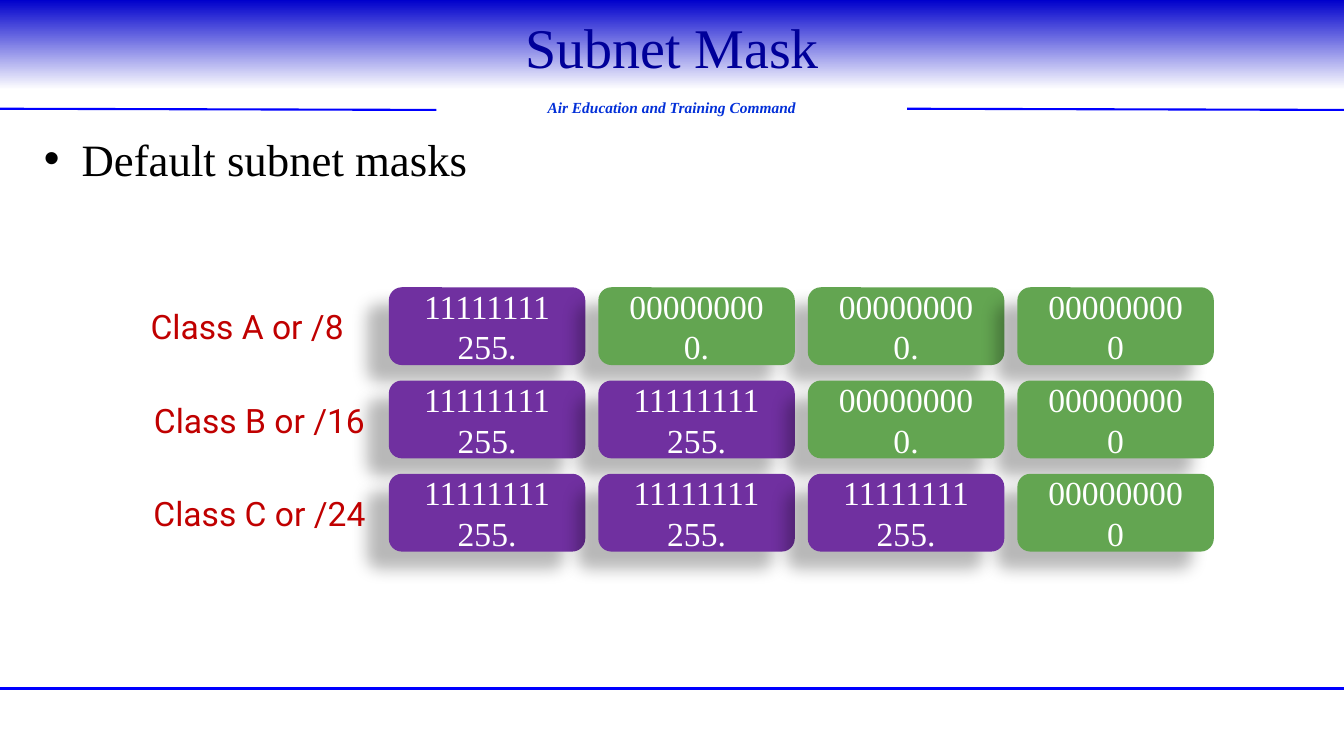
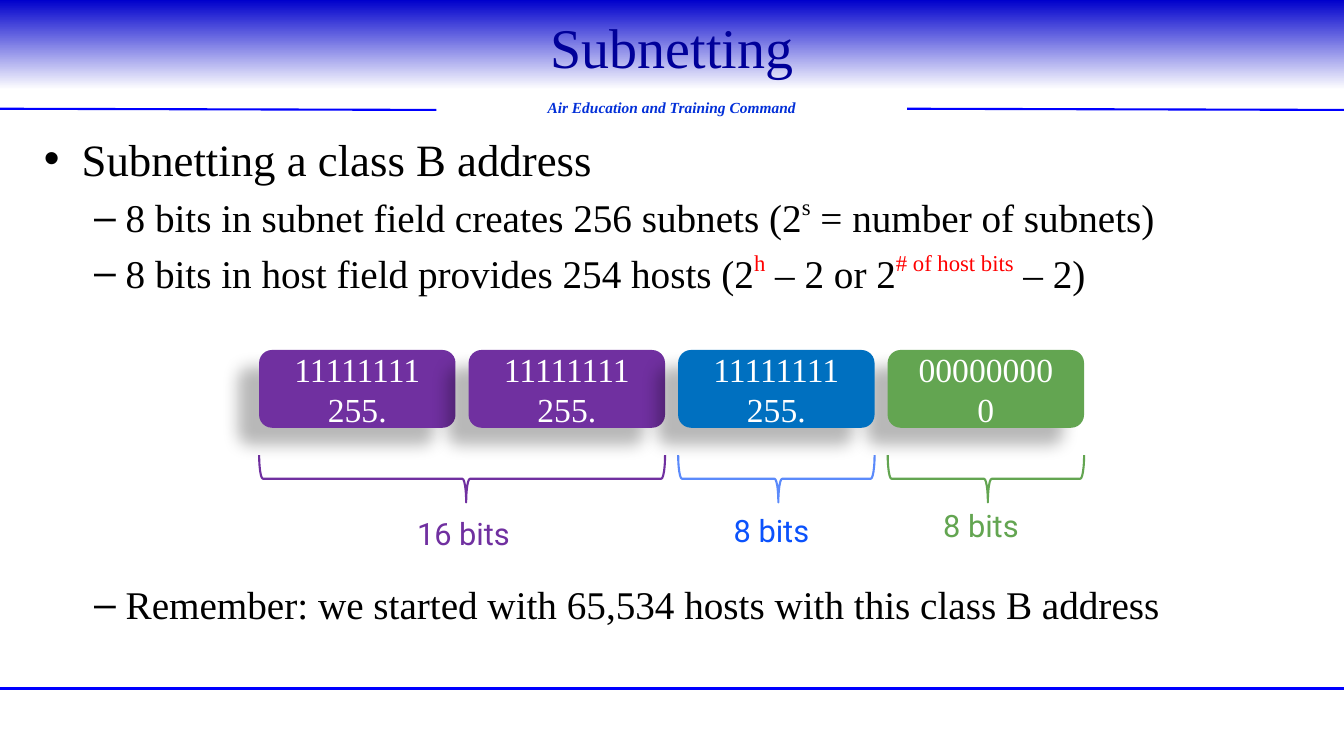
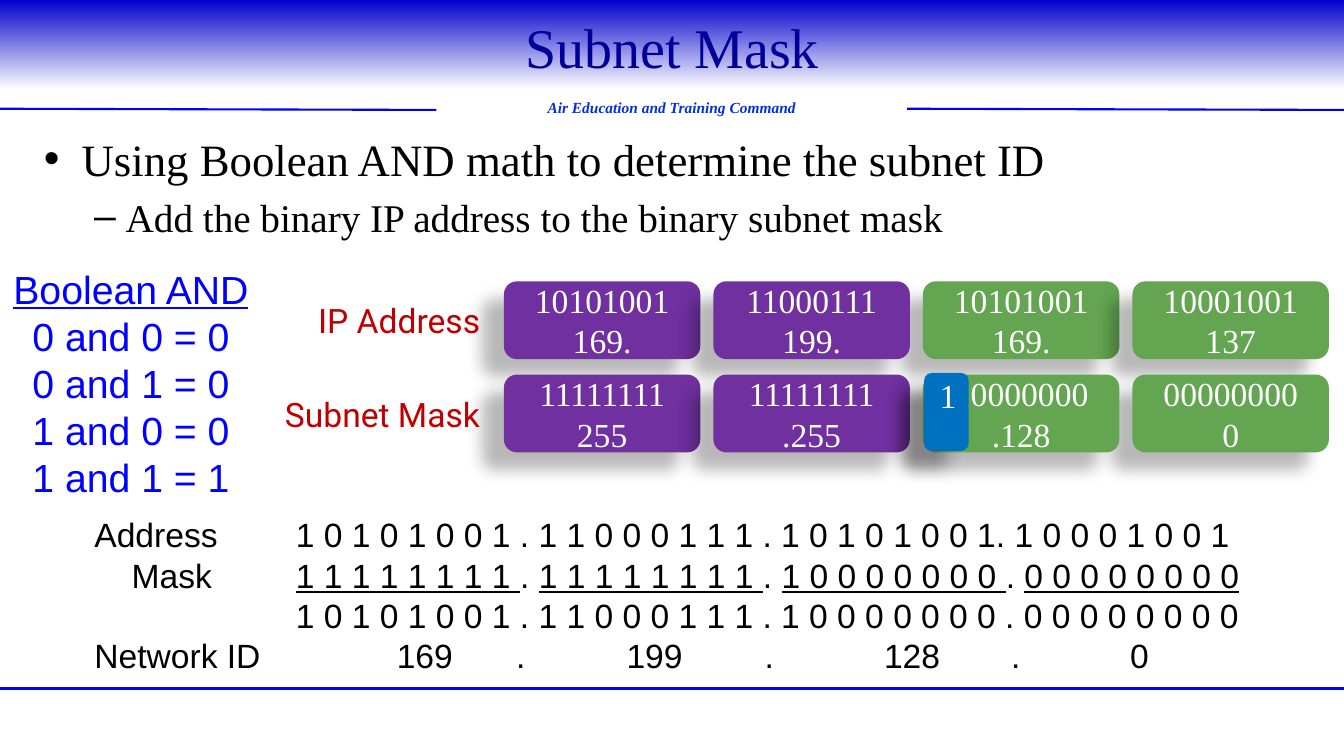
from dataclasses import dataclass
from typing import NamedTuple, Sequence

from lxml import etree
from pptx import Presentation
from pptx import util as u
from pptx.dml.color import RGBColor
from pptx.enum import shapes, text
from pptx.oxml.ns import qn

BLACK = RGBColor(0x00, 0x00, 0x00)
WHITE = RGBColor(0xFF, 0xFF, 0xFF)
NAVY = RGBColor(0x00, 0x00, 0x99)
BAND_BLUE = RGBColor(0x00, 0x00, 0xCC)
LINE_BLUE = RGBColor(0x00, 0x00, 0xFF)
MOTTO_BLUE = RGBColor(0x03, 0x30, 0xD8)
SUBNET_BLUE = RGBColor(0x00, 0x70, 0xC0)
BRACE_BLUE = RGBColor(0x5B, 0x8A, 0xFB)
BITS_BLUE = RGBColor(0x0B, 0x52, 0xFC)
PURPLE = RGBColor(0x70, 0x30, 0xA0)
GREEN = RGBColor(0x63, 0xA5, 0x51)
RED = RGBColor(0xFF, 0x00, 0x00)
LABEL_RED = RGBColor(0xC0, 0x00, 0x00)

SERIF, SANS, LABEL_FONT = "Times New Roman", "Arial", "Roboto"
CENTER, LEFT, RIGHT = text.PP_ALIGN.CENTER, text.PP_ALIGN.LEFT, text.PP_ALIGN.RIGHT

# Lengths in centimetres
PAGE_WIDTH, PAGE_HEIGHT = 33.87, 19.05
OCTET_WIDTH, OCTET_HEIGHT = 4.95, 1.96
OCTET_STEP, ROW_STEP = 5.28, 2.35
BRACE_HEIGHT = 1.19

# Back-to-front order of the four octets: a shadow falls on those behind it
TOP_ROW_ORDER = (0, 2, 3, 1)
ROW_ORDER = (0, 3, 1, 2)


class Piece(NamedTuple):
    words: str
    color: RGBColor = BLACK
    raised: bool = False
    underlined: bool = False


class Octet(NamedTuple):
    bits: str
    value: str
    color: RGBColor


class Rule(NamedTuple):
    start: tuple[float, float]
    end: tuple[float, float]
    weight: float


class Line(NamedTuple):
    pieces: Sequence[Piece]
    level: int = 0
    gap: float | None = None


class TabbedLine(NamedTuple):
    pieces: Sequence[Piece]
    tabs: Sequence[float]


@dataclass
class AddressRow:
    octets: Sequence[Octet]
    order: Sequence[int]
    label: str = ""
    label_center: float = 0


@dataclass
class Brace:
    first: int
    count: int
    color: RGBColor
    label: str
    label_color: RGBColor
    label_left: float
    label_top: float


RULES = (
    Rule((0, 17.35), (PAGE_WIDTH, 17.35), 2),
    Rule((0, 2.74), (11, 2.77), 1.5),
    Rule((22.86, 2.74), (PAGE_WIDTH, 2.77), 1.5),
)

ONES = Octet("11111111", "255.", PURPLE)
ZEROS = Octet("00000000", "0.", GREEN)
LAST_ZEROS = Octet("00000000", "0", GREEN)

CLASS_ROWS = (
    AddressRow((ONES, ZEROS, ZEROS, LAST_ZEROS), TOP_ROW_ORDER, "Class A or /8", 6.23),
    AddressRow((ONES, ONES, ZEROS, LAST_ZEROS), ROW_ORDER, "Class B or /16", 6.54),
    AddressRow((ONES, ONES, ONES, LAST_ZEROS), ROW_ORDER, "Class C or /24", 6.54),
)
SUBNETTED_ROWS = (
    AddressRow((ONES, ONES, ONES._replace(color=SUBNET_BLUE), LAST_ZEROS), ROW_ORDER),
)
BRACES = (
    Brace(0, 2, PURPLE, "16 bits", PURPLE, 10.26, 12.85),
    Brace(2, 1, BRACE_BLUE, "8 bits", BITS_BLUE, 18.24, 12.78),
    Brace(3, 1, GREEN, "8 bits", GREEN, 23.52, 12.65),
)
AND_ROWS = (
    AddressRow((Octet("10101001", "169.", PURPLE), Octet("11000111", "199.", PURPLE),
                Octet("10101001", "169.", GREEN), Octet("10001001", "137", GREEN)),
               TOP_ROW_ORDER, "IP Address", 10.06),
    AddressRow((Octet("11111111", "255", PURPLE), Octet("11111111", ".255", PURPLE),
                Octet("10000000", ".128", GREEN), LAST_ZEROS),
               ROW_ORDER, "Subnet Mask", 9.64),
)

BITS_TAB = 5.08
DOT = Piece(". ")
MASK_ONES = Piece("1 1 1 1 1 1 1 1 ", underlined=True)
AND_SUM = (
    TabbedLine([Piece("Address\t1 0 1 0 1 0 0 1 . 1 1 0 0 0 1 1 1 . "
                      "1 0 1 0 1 0 0 1. 1 0 0 0 1 0 0 1")], [BITS_TAB]),
    TabbedLine([Piece("\tMask\t"), MASK_ONES, DOT, MASK_ONES, DOT,
                Piece("1 0 0 0 0 0 0 0 ", underlined=True), DOT,
                Piece("0 0 0 0 0 0 0 0", underlined=True)], [0.94, BITS_TAB]),
    TabbedLine([Piece("\t1 0 1 0 1 0 0 1 . 1 1 0 0 0 1 1 1 . "
                      "1 0 0 0 0 0 0 0 . 0 0 0 0 0 0 0 0")], [BITS_TAB]),
    TabbedLine([Piece("Network ID\t169\t.\t199\t.\t128\t.\t0")],
               [7.62, 10.63, 13.41, 16.89, 19.9, 23.1, 26.1]),
)


def style(para, font: str, size: float, color: RGBColor, align=LEFT) -> None:
    para.alignment = align
    for span in para.runs:
        span.font.name = font
        span.font.size = u.Pt(size)
        span.font.color.rgb = color


def add_pieces(para, pieces: Sequence[Piece], font: str, size: float) -> None:
    for piece in pieces:
        span = para.add_run()
        span.text = piece.words
        span.font.name = font
        span.font.size = u.Pt(size)
        span.font.color.rgb = piece.color
        if piece.underlined:
            span.font.underline = True
        if piece.raised:
            span._r.get_or_add_rPr().set("baseline", "44000")


def add_text(page, place: Sequence[float], words: str, font: str, size: float,
             color: RGBColor, align=LEFT):
    box = page.shapes.add_textbox(*map(u.Cm, place))
    box.text_frame.word_wrap = True
    box.text_frame.text = words
    for para in box.text_frame.paragraphs:
        style(para, font, size, color, align)
    return box


def add_frame(page, layout) -> None:
    """Draw the band, rules and motto, then hand them to the layout."""
    band = page.shapes.add_shape(shapes.MSO_SHAPE.RECTANGLE, 0, 0,
                                 u.Cm(PAGE_WIDTH), u.Cm(2.26))
    band.shadow.inherit = False
    band.line.fill.background()
    band.fill.gradient()
    band.fill.gradient_angle = 270
    for stop, color in zip(band.fill.gradient_stops, (BAND_BLUE, WHITE)):
        stop.color.rgb = color
    parts = [band]

    for rule in RULES:
        line = page.shapes.add_connector(shapes.MSO_CONNECTOR.STRAIGHT,
                                         *map(u.Cm, rule.start + rule.end))
        line.line.color.rgb = LINE_BLUE
        line.line.width = u.Pt(rule.weight)
        etree.SubElement(line.element.spPr, qn("a:effectLst"))
        parts.append(line)

    motto = add_text(page, (11, 2.34, 11.86, 0.74), "Air Education and Training Command",
                     SERIF, 11, MOTTO_BLUE, CENTER)
    font = motto.text_frame.paragraphs[0].runs[0].font
    font.bold = font.italic = True
    parts.append(motto)

    for position, part in enumerate(parts, start=2):
        layout.element.cSld.spTree.insert(position, part.element)


def prepare_layout(layout) -> None:
    """Place the title and body, and drop the date, footer and number."""
    places = {0: (3.39, 0, 27.09, 2.34), 1: (0.85, 3.18, 32.17, 13.97)}
    for holder in list(layout.placeholders):
        place = places.get(holder.placeholder_format.idx)
        if place is None:
            holder.element.getparent().remove(holder.element)
        else:
            holder.left, holder.top, holder.width, holder.height = map(u.Cm, place)


def add_page(deck, layout, title: str, lines: Sequence[Line]):
    page = deck.slides.add_slide(layout)
    heading = page.shapes.title.text_frame
    heading.text = title
    heading.vertical_anchor = text.MSO_ANCHOR.MIDDLE
    style(heading.paragraphs[0], SERIF, 40, NAVY, CENTER)

    body = page.placeholders[1].text_frame
    body.auto_size = text.MSO_AUTO_SIZE.NONE
    for index, line in enumerate(lines):
        para = body.add_paragraph() if index else body.paragraphs[0]
        para.level = line.level
        if index == 0:
            para.space_before = u.Pt(0)
        elif line.gap is not None:
            para.space_before = u.Pt(line.gap)
        add_pieces(para, line.pieces, SERIF, 28 if line.level else 32)
    return page


def add_block(page, place: Sequence[float], words: str, color: RGBColor, align=CENTER):
    """Add a rounded block whose shadow falls to the lower left."""
    block = page.shapes.add_shape(shapes.MSO_SHAPE.ROUNDED_RECTANGLE, *map(u.Cm, place))
    block.fill.solid()
    block.fill.fore_color.rgb = color
    block.line.fill.background()
    block.shadow.inherit = False
    effects = block.element.spPr.find(qn("a:effectLst"))
    shadow = etree.SubElement(effects, qn("a:outerShdw"), blurRad="150000",
                              dist="250000", dir="8460000", rotWithShape="0")
    shade = etree.SubElement(shadow, qn("a:srgbClr"), val="000000")
    etree.SubElement(shade, qn("a:alpha"), val="28000")
    block.text_frame.text = words
    block.text_frame.vertical_anchor = text.MSO_ANCHOR.MIDDLE
    for para in block.text_frame.paragraphs:
        style(para, SERIF, 24, WHITE, align)
    return block


def add_rows(page, left: float, top: float, rows: Sequence[AddressRow]) -> None:
    for number, row in enumerate(rows):
        row_top = top + number * ROW_STEP
        for column in row.order:
            octet = row.octets[column]
            add_block(page, (left + column * OCTET_STEP, row_top, OCTET_WIDTH, OCTET_HEIGHT),
                      f"{octet.bits}\n{octet.value}", octet.color)
        if row.label:
            add_text(page, (row.label_center - 3.3, row_top + 0.35, 6.6, 1.27),
                     row.label, LABEL_FONT, 24, LABEL_RED, CENTER)


def add_brace(page, octets_left: float, top: float, brace: Brace) -> None:
    """Set a downward brace under its octets; it is a right brace turned by 90°."""
    span = (brace.count - 1) * OCTET_STEP + OCTET_WIDTH
    center = octets_left + brace.first * OCTET_STEP + span / 2
    shape = page.shapes.add_shape(
        shapes.MSO_SHAPE.RIGHT_BRACE, u.Cm(center - BRACE_HEIGHT / 2),
        u.Cm(top + BRACE_HEIGHT / 2 - span / 2), u.Cm(BRACE_HEIGHT), u.Cm(span))
    shape.rotation = 90
    shape.adjustments[0], shape.adjustments[1] = 0.08, 0.49
    shape.shadow.inherit = False
    shape.fill.background()
    shape.line.color.rgb = brace.color
    shape.line.width = u.Pt(1.5)
    add_text(page, (brace.label_left, brace.label_top, 3.2, 1.19), brace.label,
             LABEL_FONT, 22, brace.label_color)


def add_tabbed_text(page, place: Sequence[float], lines: Sequence[TabbedLine]) -> None:
    frame = page.shapes.add_textbox(*map(u.Cm, place)).text_frame
    frame.word_wrap = True
    for index, line in enumerate(lines):
        para = frame.add_paragraph() if index else frame.paragraphs[0]
        stops = etree.SubElement(para._p.get_or_add_pPr(), qn("a:tabLst"))
        for position in line.tabs:
            etree.SubElement(stops, qn("a:tab"), pos=str(int(u.Cm(position))), algn="l")
        add_pieces(para, line.pieces, SANS, 24)


def main() -> None:
    deck = Presentation()
    deck.slide_width, deck.slide_height = u.Cm(PAGE_WIDTH), u.Cm(PAGE_HEIGHT)
    layout = deck.slide_layouts[1]
    prepare_layout(layout)

    masks = add_page(deck, layout, "Subnet Mask", [Line([Piece("Default subnet masks")])])
    add_frame(masks, layout)
    add_rows(masks, 9.8, 7.24, CLASS_ROWS)

    subnetting = add_page(deck, layout, "Subnetting", [
        Line([Piece("Subnetting a class B address")]),
        Line([Piece("8 bits in subnet field creates 256 subnets (2"),
              Piece("s", raised=True), Piece(" = number of subnets)")], 1),
        Line([Piece("8 bits in host field provides 254 hosts (2"),
              Piece("h", RED, raised=True), Piece(" – 2 or 2"),
              Piece("# of host bits", RED, raised=True), Piece(" – 2)")], 1),
        Line([Piece("Remember: we started with 65,534 hosts with this class B address")],
             1, 203),
    ])
    octets_left = 6.53
    for brace in BRACES:
        add_brace(subnetting, octets_left, 11.47, brace)
    add_rows(subnetting, octets_left, 8.82, SUBNETTED_ROWS)

    anding = add_page(deck, layout, "Subnet Mask", [
        Line([Piece("Using Boolean AND math to determine the subnet ID")]),
        Line([Piece("Add the binary IP address to the binary subnet mask")], 1),
    ])
    truth = add_text(anding, (0, 6.55, 6.6, 6.25),
                     "Boolean AND\n0 and 0 = 0\n0 and 1 = 0\n1 and 0 = 0\n1 and 1 = 1",
                     SANS, 28, LINE_BLUE, CENTER)
    truth.text_frame.paragraphs[0].runs[0].font.underline = True
    add_tabbed_text(anding, (2.13, 12.83, 29.6, 4.37), AND_SUM)
    add_rows(anding, 12.7, 7.09, AND_ROWS)
    subnet_bit = add_block(anding, (23.29, 9.4, 1.12, OCTET_HEIGHT), "1", SUBNET_BLUE, RIGHT)
    subnet_bit.text_frame.vertical_anchor = text.MSO_ANCHOR.TOP
    subnet_bit.text_frame.margin_top = 0

    deck.save("out.pptx")


if __name__ == "__main__":
    main()
